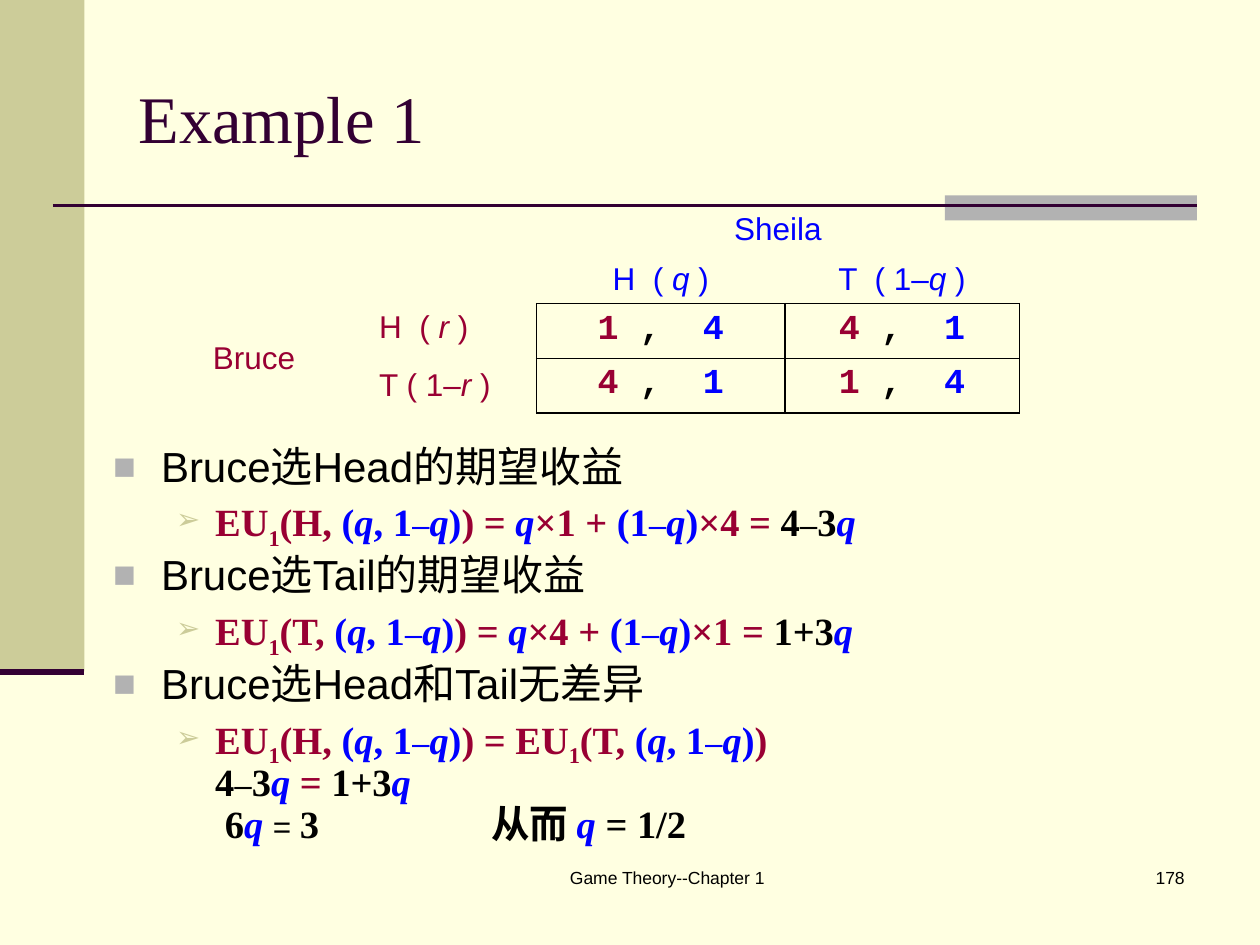
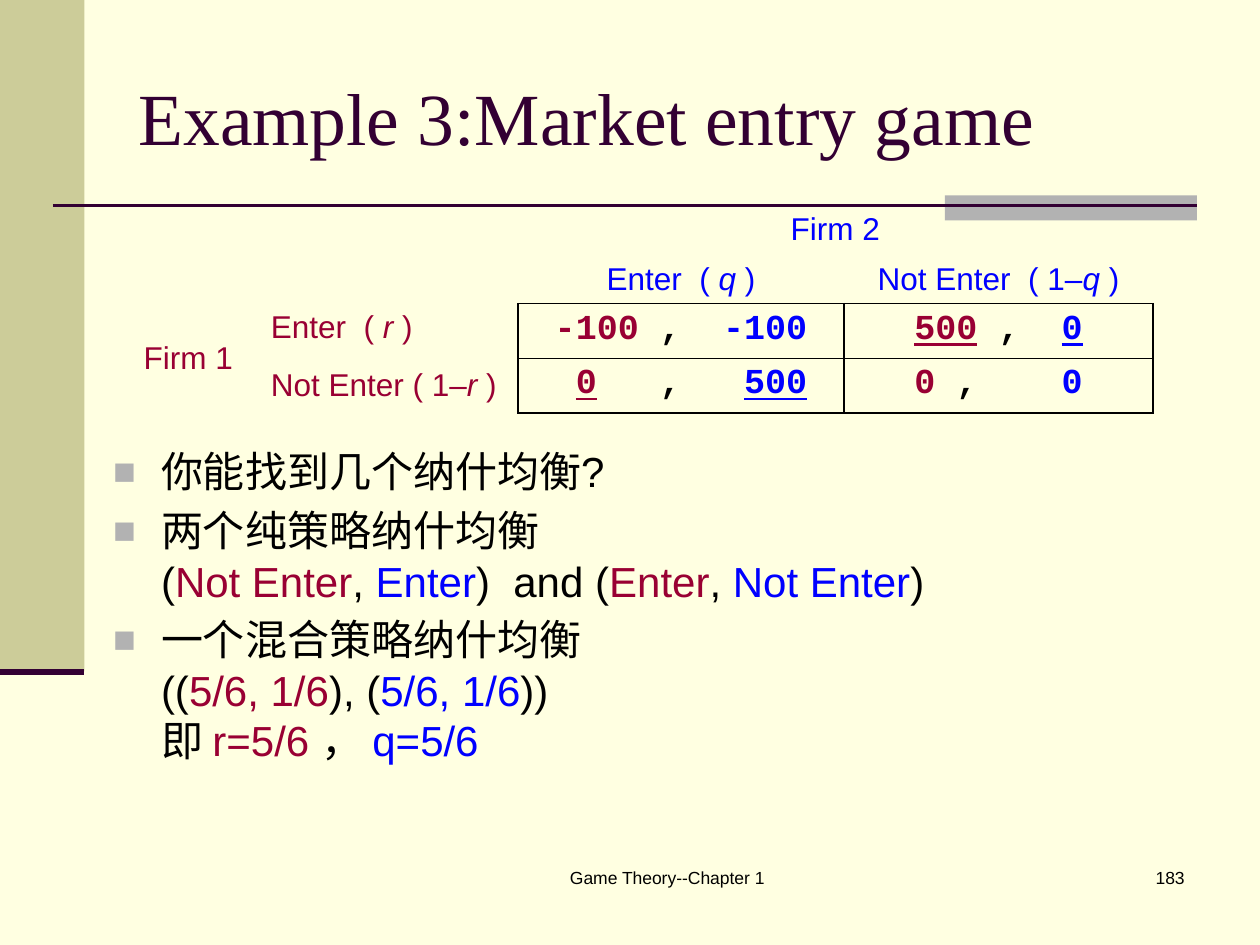
from dataclasses import dataclass, replace

from lxml.etree import SubElement
from pptx import Presentation
from pptx.dml.color import RGBColor
from pptx.enum.shapes import MSO_CONNECTOR, MSO_SHAPE
from pptx.enum.text import MSO_ANCHOR as ANCHOR, MSO_AUTO_SIZE, PP_ALIGN as ALIGN
from pptx.oxml.ns import qn
from pptx.util import Inches, Pt

CREAM = RGBColor(0xFF, 0xFF, 0xE1)
KHAKI = RGBColor(0xCC, 0xCC, 0x99)
GREY = RGBColor(0xB2, 0xB2, 0xB2)
PLUM = RGBColor(0x33, 0x00, 0x33)
MAROON = RGBColor(0x99, 0x00, 0x33)
BLUE = RGBColor(0x00, 0x00, 0xFF)
BLACK = RGBColor(0x00, 0x00, 0x00)
NO_GRID_STYLE = "{2D5ABB26-0587-4C30-8999-92F81FD0307C}"


@dataclass(frozen=True)
class Style:
    font: str
    size: int
    color: RGBColor
    bold: bool = False
    italic: bool = False
    underline: bool = False
    baseline: int = 0


# Text styles: maroon for the row player, blue for the column player
FOOTER = Style("Arial", 10, BLACK)
TITLE = Style("Times New Roman", 42, PLUM)
BODY = Style("Arial", 24, BLACK)
BODY_ROW = replace(BODY, color=MAROON)
BODY_COL = replace(BODY, color=BLUE)
LABEL_ROW = Style("Arial", 18, MAROON)
LABEL_COL = replace(LABEL_ROW, color=BLUE)
PAY_ROW = Style("Courier New", 20, MAROON, bold=True)
PAY_COL = replace(PAY_ROW, color=BLUE)
PAY_GAP = replace(PAY_ROW, color=BLACK)
MATH_ROW = Style("Times New Roman", 22, MAROON, bold=True)
MATH_SUB = replace(MATH_ROW, baseline=-25000)
MATH_COL = replace(MATH_ROW, color=BLUE)
MATH_Q = replace(MATH_COL, italic=True)
MATH = replace(MATH_ROW, color=BLACK)
SMALL = Style("Arial", 18, BLACK)


# Text helpers
def add_runs(paragraph, runs):
    for text, style in runs:
        for number, line in enumerate(text.split("\n")):
            if number:
                paragraph.add_line_break()
            if not line:
                continue
            run = paragraph.add_run()
            run.text = line
            font = run.font
            font.name, font.size = style.font, Pt(style.size)
            font.bold, font.italic = style.bold, style.italic
            font.underline = style.underline
            font.color.rgb = style.color
            if style.baseline:
                font._element.set("baseline", str(style.baseline))


def space_before(paragraph, percent=20):
    spacing = SubElement(paragraph._p.get_or_add_pPr(), qn("a:spcBef"))
    SubElement(spacing, qn("a:spcPct")).set("val", str(percent * 1000))


def add_bullet(paragraph, level):
    margin, hanging, mark, color, percent = (
        (0.38, 0.38, "■", GREY, 90), (0.81, 0.31, "➢", KHAKI, 75))[level]
    properties = paragraph._p.get_or_add_pPr()
    properties.set("marL", str(Inches(margin)))
    properties.set("indent", str(-Inches(hanging)))
    properties.set("defTabSz", str(Inches(1)))
    bullet_color = SubElement(properties, qn("a:buClr"))
    SubElement(bullet_color, qn("a:srgbClr")).set("val", str(color))
    SubElement(properties, qn("a:buSzPct")).set("val", str(percent * 1000))
    SubElement(properties, qn("a:buFont")).set("typeface", "Arial")
    SubElement(properties, qn("a:buChar")).set("char", mark)


def add_text_frame(slide, left, top, width, height):
    box = slide.shapes.add_textbox(*map(Inches, (left, top, width, height)))
    box.text_frame.word_wrap = True
    return box.text_frame


# Frame shared by the slides
def add_band(slide, left, top, width, height, color):
    band = slide.shapes.add_shape(
        MSO_SHAPE.RECTANGLE, *map(Inches, (left, top, width, height)))
    band.shadow.inherit = False
    band.fill.solid()
    band.fill.fore_color.rgb = color
    band.line.fill.background()


def add_rule(slide, left, right, y, weight):
    rule = slide.shapes.add_connector(
        MSO_CONNECTOR.STRAIGHT, *map(Inches, (left, y, right, y)))
    rule.line.color.rgb = PLUM
    rule.line.width = Pt(weight)
    SubElement(rule._element.spPr, qn("a:effectLst"))


def add_footer(slide, left, width, text, align):
    paragraph = add_text_frame(slide, left, 6.83, width, 0.5).paragraphs[0]
    paragraph.alignment = align
    add_runs(paragraph, [(text, FOOTER)])


def add_title(slide, text, size):
    title = slide.shapes.title
    title.left, title.top = Inches(1), Inches(0.3)
    title.width, title.height = Inches(8.5), Inches(1.25)
    frame = title.text_frame
    frame.auto_size = MSO_AUTO_SIZE.NONE
    frame.vertical_anchor = ANCHOR.MIDDLE
    frame.paragraphs[0].alignment = ALIGN.LEFT
    add_runs(frame.paragraphs[0], [(text, replace(TITLE, size=size))])


def add_example_slide(prs, title, title_size, page):
    slide = prs.slides.add_slide(prs.slide_layouts[5])
    add_band(slide, 0, 0, 0.67, 5.33, KHAKI)
    add_band(slide, 7.5, 1.55, 2, 0.2, GREY)
    add_rule(slide, 0.42, 9.5, 1.63, 1.5)
    add_rule(slide, 0, 0.67, 5.33, 3.5)
    add_footer(slide, 3.67, 3.25, "Game Theory--Chapter 1", ALIGN.CENTER)
    add_footer(slide, 7.42, 2.08, page, ALIGN.RIGHT)
    add_title(slide, title, title_size)
    return slide


# Payoff table
def payoff(row_gain, gap, col_gain, row_best=False, col_best=False, lead=""):
    return [(lead, PAY_ROW),
            (row_gain, replace(PAY_ROW, underline=row_best)),
            (gap, PAY_GAP),
            (col_gain, replace(PAY_COL, underline=col_best))]


def fill_cell(cell, runs, align, anchor, sides=""):
    cell.vertical_anchor = anchor
    paragraph = cell.text_frame.paragraphs[0]
    paragraph.alignment = align
    space_before(paragraph)
    add_runs(paragraph, runs)
    for side in sides:
        border = SubElement(cell._tc.get_or_add_tcPr(), qn(f"a:ln{side}"))
        border.set("w", str(Pt(1)))
        color = SubElement(SubElement(border, qn("a:solidFill")), qn("a:srgbClr"))
        color.set("val", str(BLACK))


def add_payoff_table(slide, left, top, widths, players, moves, payoffs):
    heights = (0.39, 0.4, 0.41, 0.41)
    table = slide.shapes.add_table(
        4, 4, *map(Inches, (left, top, sum(widths), sum(heights)))).table
    table.first_row = table.horz_banding = False
    table._tbl.tblPr.find(qn("a:tableStyleId")).text = NO_GRID_STYLE
    for column, width in zip(table.columns, widths):
        column.width = Inches(width)
    for row, height in zip(table.rows, heights):
        row.height = Inches(height)
    table.cell(0, 0).merge(table.cell(0, 1))
    table.cell(0, 2).merge(table.cell(0, 3))
    table.cell(2, 0).merge(table.cell(3, 0))

    # Players and their moves with probabilities
    row_player, col_player = players
    first, second = moves
    col_q = ("q", replace(LABEL_COL, italic=True))
    row_italic = replace(LABEL_ROW, italic=True)
    fill_cell(table.cell(0, 2), [(col_player, LABEL_COL)], ALIGN.CENTER, ANCHOR.BOTTOM)
    fill_cell(table.cell(2, 0), [(row_player, LABEL_ROW)], ALIGN.LEFT, ANCHOR.MIDDLE)
    for column, opening in enumerate((f"{first}  ( ", f"{second}  ( 1–"), 2):
        fill_cell(table.cell(1, column),
                  [(opening, LABEL_COL), col_q, (" )", LABEL_COL)],
                  ALIGN.CENTER, ANCHOR.BOTTOM, "B")
    fill_cell(table.cell(2, 1),
              [(f"{first}  ( ", LABEL_ROW), ("r ", row_italic), (")", LABEL_ROW)],
              ALIGN.LEFT, ANCHOR.TOP, "R")
    fill_cell(table.cell(3, 1),
              [(f"{second} ( 1–", LABEL_ROW), ("r", row_italic), (" )", LABEL_ROW)],
              ALIGN.LEFT, ANCHOR.MIDDLE, "R")

    # Payoffs
    for row, pair in enumerate(payoffs, 2):
        for column, runs in enumerate(pair, 2):
            fill_cell(table.cell(row, column), runs, ALIGN.CENTER, ANCHOR.TOP, "LRTB")
    for cell in table.iter_cells():
        cell.fill.background()


# Bulleted analysis under the table
def add_analysis(slide, left, top, points, line_spacing):
    frame = add_text_frame(slide, left, top, 8.5, 3.25)
    for number, (level, runs) in enumerate(points):
        paragraph = frame.add_paragraph() if number else frame.paragraphs[0]
        paragraph.level = level
        paragraph.line_spacing = line_spacing
        space_before(paragraph)
        add_bullet(paragraph, level)
        add_runs(paragraph, runs)


# Formula parts
Q = ("q", MATH_Q)
DASH = ("–", SMALL)
ONE_MINUS_Q = [("–", replace(SMALL, color=BLUE)), Q, (")", MATH_COL)]
MIX = [("(", MATH_COL), Q, (", 1", MATH_COL), *ONE_MINUS_Q]


def utility(move):
    return [("EU", MATH_ROW), ("1", MATH_SUB), (f"({move}, ", MATH_ROW),
            *MIX, (")", MATH_ROW)]


def expected_utility(move, gain_h, gain_t, result):
    return [*utility(move), (" = ", MATH_ROW), Q, (f"×{gain_h} + ", MATH_ROW),
            ("(1", MATH_COL), *ONE_MINUS_Q, (f"×{gain_t} = ", MATH_ROW), *result]


def build_matching_slide(prs):
    slide = add_example_slide(prs, "Example 1", 38, "178")
    same, differ = payoff("1", " ,  ", "4"), payoff("4", " ,  ", "1")
    add_payoff_table(slide, 1.59, 1.61, (1.32, 1.35, 1.97, 1.86),
                     ("Bruce", "Sheila"), ("H", "T"),
                     ((same, differ), (differ, same)))
    head_result = [("4", MATH), DASH, ("3", MATH), Q]
    tail_result = [("1+3", MATH), Q]
    solution = [*utility("H"), (" = ", MATH_ROW), *utility("T"), (" \n", MATH_ROW),
                *head_result, (" = ", MATH_ROW), *tail_result,
                ("\n 6", MATH), ("q ", MATH_Q), ("= ", SMALL),
                ("3 \t\t从而 ", MATH), ("q ", MATH_Q), ("= 1/2", MATH)]
    add_analysis(slide, 0.8, 3.49, [
        (0, [("Bruce选Head的期望收益", BODY)]),
        (1, expected_utility("H", 1, 4, head_result)),
        (0, [("Bruce选Tail的期望收益", BODY)]),
        (1, expected_utility("T", 4, 1, tail_result)),
        (0, [("Bruce选Head和Tail无差异", BODY)]),
        (1, solution),
    ], 0.9)


def build_entry_slide(prs):
    slide = add_example_slide(prs, "Example 3:Market entry game", 42, "183")
    add_payoff_table(
        slide, 1.04, 1.61, (1.01, 2.06, 2.59, 2.45),
        ("Firm 1", "Firm 2"), ("Enter", "Not Enter"),
        ((payoff("-100", " ,  ", "-100"),
          payoff("500", " ,  ", "0", row_best=True, col_best=True)),
         (payoff("0", "   ,   ", "500", row_best=True, col_best=True, lead=" "),
          payoff("0", " ,    ", "0"))))
    add_analysis(slide, 0.8, 3.49, [
        (0, [("你能找到几个纳什均衡?", BODY)]),
        (0, [("两个纯策略纳什均衡\n(", BODY), ("Not Enter", BODY_ROW), (", ", BODY),
             ("Enter", BODY_COL), (")  and (", BODY), ("Enter", BODY_ROW),
             (", ", BODY), ("Not Enter", BODY_COL), (")", BODY)]),
        (0, [("一个混合策略纳什均衡\n((", BODY), ("5/6, 1/6", BODY_ROW), ("), (", BODY),
             ("5/6, 1/6", BODY_COL), (")) \n即 ", BODY), ("r=5/6 ", BODY_ROW),
             ("， ", BODY), ("q=5/6", BODY_COL)]),
    ], 1.0)


def main():
    prs = Presentation()
    prs.slide_width, prs.slide_height = Inches(10), Inches(7.5)
    background = prs.slide_master.background.fill
    background.solid()
    background.fore_color.rgb = CREAM
    build_matching_slide(prs)
    build_entry_slide(prs)
    prs.save("out.pptx")


if __name__ == "__main__":
    main()
